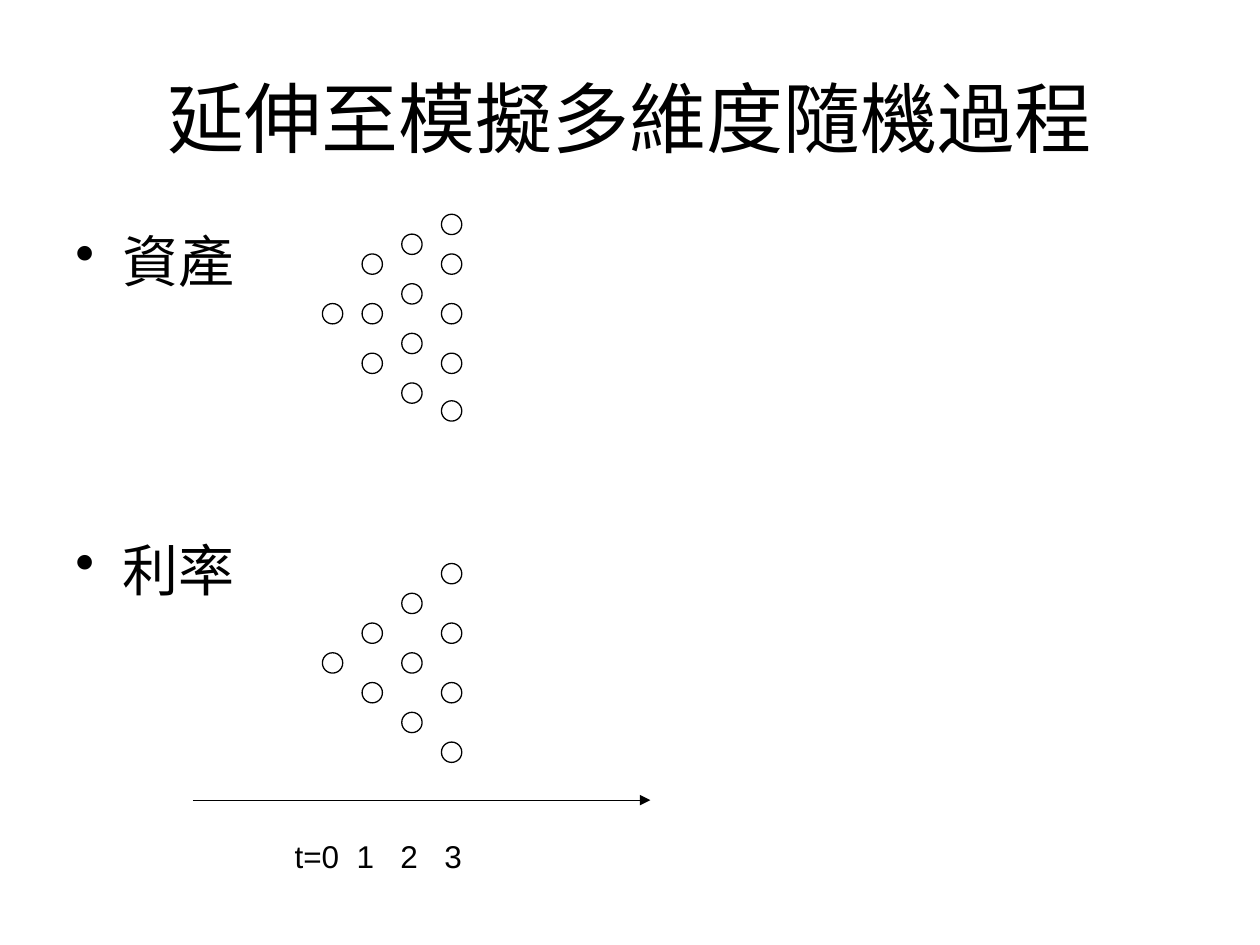
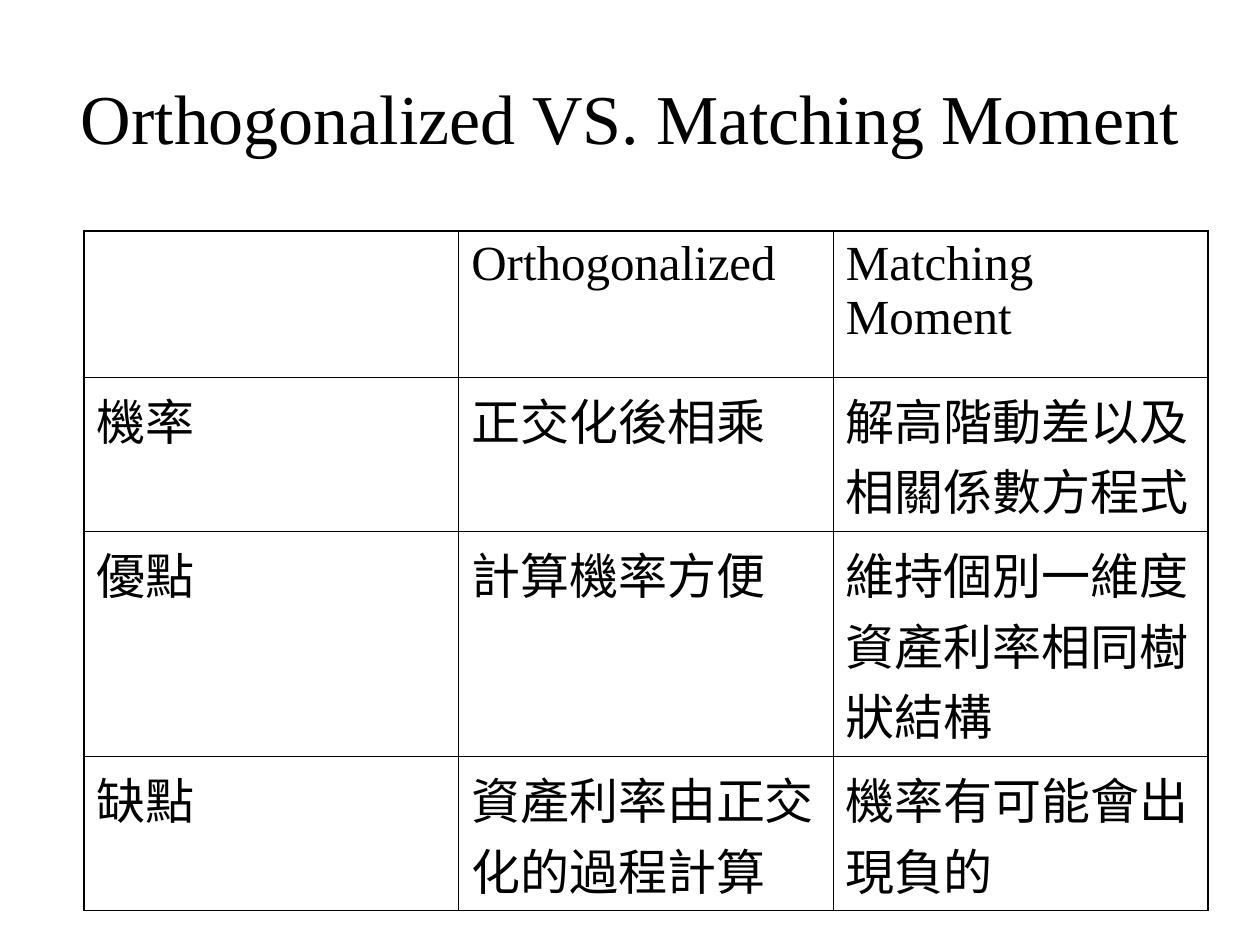
from dataclasses import dataclass
from lxml.etree import SubElement
from pptx import Presentation
from pptx.dml.color import RGBColor
from pptx.enum.shapes import MSO_CONNECTOR, MSO_SHAPE
from pptx.enum.text import MSO_ANCHOR, MSO_AUTO_SIZE, PP_ALIGN
from pptx.oxml.ns import qn
from pptx.util import Cm, Pt


# Colours, fonts and sizes shared by both slides
@dataclass(frozen=True)
class Theme:
    ink: RGBColor = RGBColor(0, 0, 0)
    paper: RGBColor = RGBColor(255, 255, 255)
    sans: str = "Arial"
    serif: str = "Times New Roman"
    title: float = 44
    head: float = 40
    body: float = 32
    cell: float = 28
    label: float = 18
    line: float = 0.75
    inner: float = 0.45
    outer: float = 1.08


THEME = Theme()

# Node offsets from the root, one list per time step (cm)
ASSET = [[0], [-1, 0, 1], [-1.4, -0.4, 0.6, 1.6], [-1.8, -1, 0, 1, 1.96]]
RATE = [[0.6 * (2 * up - step) for up in range(step + 1)] for step in range(4)]

ROWS = [
    ["", "Orthogonalized", "Matching Moment"],
    ["機率", "正交化後相乘", "解高階動差以及相關係數方程式"],
    ["優點", "計算機率方便", "維持個別一維度資產利率相同樹狀結構"],
    ["缺點", "資產利率由正交化的過程計算", "機率有可能會出現負的"],
]


def apply(target, form):
    for key, value in form.items():
        setattr(target, key, value)


def style(para, size, face=THEME.sans):
    apply(para.font, {"size": Pt(size), "name": face, "bold": False})
    para.font.color.rgb = THEME.ink


def add_page(deck, text, size, face):
    """Title-only slide with a centred title."""
    slide = deck.slides.add_slide(deck.slide_layouts[5])
    title = slide.shapes.title
    apply(title, {"left": Cm(1.27), "top": Cm(0.76),
                  "width": Cm(22.86), "height": Cm(3.18)})
    apply(title.text_frame, {"text": text, "word_wrap": True,
                             "auto_size": MSO_AUTO_SIZE.NONE,
                             "vertical_anchor": MSO_ANCHOR.MIDDLE})
    para = title.text_frame.paragraphs[0]
    para.alignment = PP_ALIGN.CENTER
    style(para, size, face)
    return slide


def add_box(slide, left, top, width, height):
    frame = slide.shapes.add_textbox(
        Cm(left), Cm(top), Cm(width), Cm(height)).text_frame
    frame.word_wrap = True
    return frame


def add_list(slide, items, gap):
    frame = add_box(slide, 1.27, 4.45, 22.86, 12.57)
    for index, text in enumerate(items):
        para = frame.add_paragraph() if index else frame.paragraphs[0]
        para.text = text
        if index:
            para.space_before = Pt(gap)
        props = para._p.get_or_add_pPr()
        props.set("marL", str(Cm(0.95)))
        props.set("indent", str(-Cm(0.95)))
        SubElement(props, qn("a:buChar"), char="•")
        style(para, THEME.body)


def add_tree(slide, root, tree):
    size = Cm(0.41)
    for step, column in enumerate(tree):
        for shift in column:
            node = slide.shapes.add_shape(
                MSO_SHAPE.OVAL, Cm(6.5 + 0.8 * step), Cm(root + shift), size, size)
            node.shadow.inherit = False
            node.fill.solid()
            node.fill.fore_color.rgb = THEME.paper
            node.line.color.rgb = THEME.ink
            node.line.width = Pt(THEME.line)


def add_axis(slide):
    axis = slide.shapes.add_connector(
        MSO_CONNECTOR.STRAIGHT, Cm(3.89), Cm(16.13), Cm(13.11), Cm(16.13))
    axis.line.color.rgb = THEME.ink
    axis.line.width = Pt(THEME.line)
    SubElement(axis.line._get_or_add_ln(), qn("a:tailEnd"), type="triangle")
    SubElement(axis._element.spPr, qn("a:effectLst"))


def add_ticks(slide, ticks, stops):
    para = add_box(slide, 5.69, 16.74, 7.01, 1.02).paragraphs[0]
    para.text = "\t".join(ticks)
    tabs = SubElement(para._p.get_or_add_pPr(), qn("a:tabLst"))
    for stop in stops:
        SubElement(tabs, qn("a:tab"), pos=str(Cm(stop)), algn="l")
    style(para, THEME.label)


def add_edges(cell, widths):
    props = cell._tc.get_or_add_tcPr()
    for side, width in widths.items():
        edge = SubElement(props, qn(f"a:ln{side}"), w=str(Pt(width)))
        fill = SubElement(edge, qn("a:solidFill"))
        SubElement(fill, qn("a:srgbClr"), val=str(THEME.ink))


def add_grid(slide, rows, heights):
    count, wide = len(rows), len(rows[0])
    table = slide.shapes.add_table(
        count, wide, Cm(1.7), Cm(4.65), Cm(7.55 * wide), Cm(sum(heights))).table
    apply(table, {"first_row": False, "horz_banding": False})
    for row, height in enumerate(heights):
        table.rows[row].height = Cm(height)
        for col, text in enumerate(rows[row]):
            cell = table.cell(row, col)
            cell.text = text
            face = THEME.sans if row else THEME.serif
            style(cell.text_frame.paragraphs[0], THEME.cell, face)
            # Heavy frame outside, thin rules inside
            rims = {"L": col == 0, "R": col == wide - 1,
                    "T": row == 0, "B": row == count - 1}
            add_edges(cell, {side: THEME.outer if rim else THEME.inner
                             for side, rim in rims.items()})
            cell.fill.background()


def main():
    deck = Presentation()
    apply(deck, {"slide_width": Cm(25.4), "slide_height": Cm(19.05)})

    # Trees of the two processes over a time axis
    slide = add_page(deck, "延伸至模擬多維度隨機過程", THEME.title, THEME.sans)
    add_list(slide, ["資產", "利率"], 138)
    add_tree(slide, 13.16, RATE)
    add_tree(slide, 6.12, ASSET)
    add_axis(slide)
    add_ticks(slide, ["t=0", "1", "2", "3"], [1.25, 2.13, 3.02])

    # Comparison of the two methods
    slide = add_page(deck, "Orthogonalized VS. Matching Moment",
                     THEME.head, THEME.serif)
    add_grid(slide, ROWS, [2.95, 3.1, 3.81, 3.1])

    deck.save("out.pptx")


if __name__ == "__main__":
    main()
